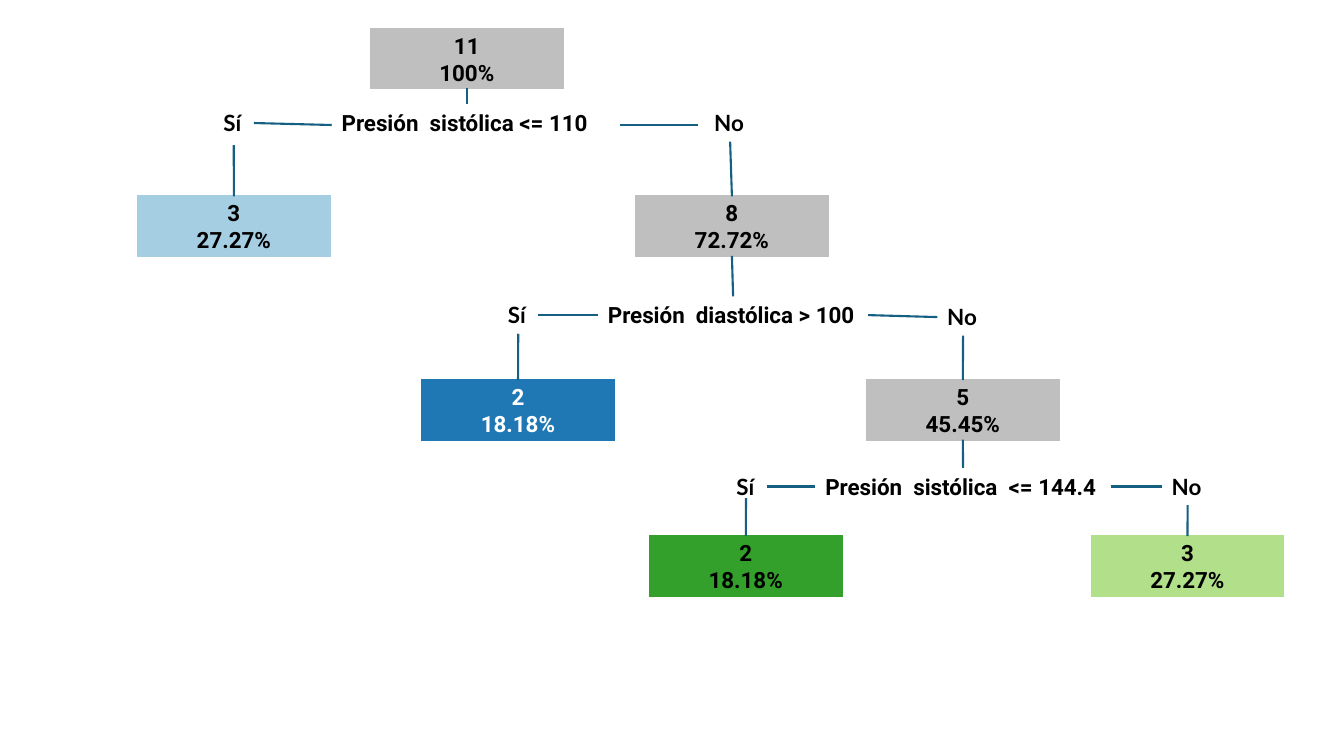
from lxml import etree
from pptx import Presentation
from pptx.dml.color import RGBColor
from pptx.enum.shapes import MSO_CONNECTOR as Connector, MSO_SHAPE as Shape
from pptx.enum.text import MSO_ANCHOR as Anchor, MSO_AUTO_SIZE as AutoSize, PP_ALIGN as Align
from pptx.oxml.ns import qn
from pptx.util import Cm, Pt

GREY = RGBColor(0xBF, 0xBF, 0xBF)
PALE_BLUE = RGBColor(0xA6, 0xCE, 0xE3)
BLUE = RGBColor(0x1F, 0x78, 0xB4)
GREEN = RGBColor(0x33, 0xA0, 0x2C)
PALE_GREEN = RGBColor(0xB2, 0xDF, 0x8A)
LINE = RGBColor(0x15, 0x60, 0x82)
BLACK = RGBColor(0, 0, 0)
WHITE = RGBColor(0xFF, 0xFF, 0xFF)

TOP, LEFT, BOTTOM, RIGHT = range(4)
NODE_WIDTH, NODE_HEIGHT = 4.83, 1.5
LABEL_HEIGHT = 0.94

deck = Presentation()
deck.slide_width, deck.slide_height = Cm(33.87), Cm(19.05)
page = deck.slides.add_slide(deck.slide_layouts[6])


def write(box, text, font="Roboto", color=BLACK, align=Align.LEFT):
    """Fill the box with bold text, one paragraph for each line."""
    frame = box.text_frame
    for index, line in enumerate(text.split("\n")):
        para = frame.add_paragraph() if index else frame.paragraphs[0]
        para.alignment = align
        span = para.add_run()
        span.text = line
        span.font.name = font
        span.font.size = Pt(16)
        span.font.bold = True
        span.font.color.rgb = color


boxes = {}

# Tree nodes: count and share of cases
nodes = [
    ("root", "11\n100%", 9.35, 0.73, GREY),
    ("yes 1", "3\n27.27%", 3.48, 4.95, PALE_BLUE),
    ("no 1", "8\n72.72%", 16.03, 4.95, GREY),
    ("yes 2", "2\n18.18%", 10.64, 9.58, BLUE),
    ("no 2", "5\n45.45%", 21.85, 9.58, GREY),
    ("yes 3", "2\n18.18%", 16.38, 13.51, GREEN),
    ("no 3", "3\n27.27%", 27.51, 13.51, PALE_GREEN),
]
for name, text, left, top, fill in nodes:
    node = page.shapes.add_shape(
        Shape.RECTANGLE, Cm(left), Cm(top), Cm(NODE_WIDTH), Cm(NODE_HEIGHT))
    node.shadow.inherit = False
    node.fill.solid()
    node.fill.fore_color.rgb = fill
    node.line.color.rgb = fill
    node.line.width = Pt(1.5)
    # Square outline corners
    etree.SubElement(node._element.spPr.find(qn("a:ln")), qn("a:miter"), lim="800000")
    node.text_frame.vertical_anchor = Anchor.MIDDLE
    write(node, text, color=WHITE if fill == BLUE else BLACK, align=Align.CENTER)
    boxes[name] = node

# Split conditions and their answers
labels = [
    ("question 1", "Presión  sistólica <= 110", 8.36, 2.63, 6.81, "Roboto"),
    ("Sí 1", "Sí", 5.38, 2.63, 1.02, "Lato"),
    ("No 1", "No", 17.75, 2.63, 1.3, "Lato"),
    ("question 2", "Presión  diastólica > 100", 15.07, 7.47, 6.81, "Roboto"),
    ("Sí 2", "Sí", 12.55, 7.47, 1.02, "Lato"),
    ("No 2", "No", 23.62, 7.52, 1.3, "Lato"),
    ("question 3", "Presión  sistólica  <= 144.4", 20.55, 11.79, 7.44, "Roboto"),
    ("Sí 3", "Sí", 18.31, 11.79, 1.02, "Lato"),
    ("No 3", "No", 29.28, 11.79, 1.3, "Lato"),
]
for name, text, left, top, width, font in labels:
    label = page.shapes.add_textbox(Cm(left), Cm(top), Cm(width), Cm(LABEL_HEIGHT))
    label.text_frame.word_wrap = False
    label.text_frame.auto_size = AutoSize.SHAPE_TO_FIT_TEXT
    write(label, text, font=font)
    boxes[name] = label

# Each end is a box name with its side, or a free point in centimetres
links = [
    (("root", BOTTOM), ("question 1", TOP)),
    (("Sí 1", RIGHT), (8.36, 3.15)),
    ((15.62, 3.15), (17.6, 3.15)),
    ((5.89, 3.66), ("yes 1", TOP)),
    (("No 1", BOTTOM), ("no 1", TOP)),
    (("no 1", BOTTOM), ("question 2", TOP)),
    (("Sí 2", RIGHT), ("question 2", LEFT)),
    (("question 2", RIGHT), ("No 2", LEFT)),
    (("Sí 2", BOTTOM), ("yes 2", TOP)),
    (("No 2", BOTTOM), ("no 2", TOP)),
    (("no 2", BOTTOM), ("question 3", TOP)),
    (("Sí 3", RIGHT), ("question 3", LEFT)),
    (("question 3", RIGHT), ("No 3", LEFT)),
    ((18.8, 12.55), ("yes 3", TOP)),
    (("No 3", BOTTOM), ("no 3", TOP)),
]
for start, end in links:
    link = page.shapes.add_connector(Connector.STRAIGHT, 0, 0, 0, 0)
    if start[0] in boxes:
        link.begin_connect(boxes[start[0]], start[1])
    else:
        link.begin_x, link.begin_y = Cm(start[0]), Cm(start[1])
    if end[0] in boxes:
        link.end_connect(boxes[end[0]], end[1])
    else:
        link.end_x, link.end_y = Cm(end[0]), Cm(end[1])
    link.line.color.rgb = LINE
    link.line.width = Pt(1.5)
    etree.SubElement(link._element.spPr, qn("a:effectLst"))

deck.save("out.pptx")
